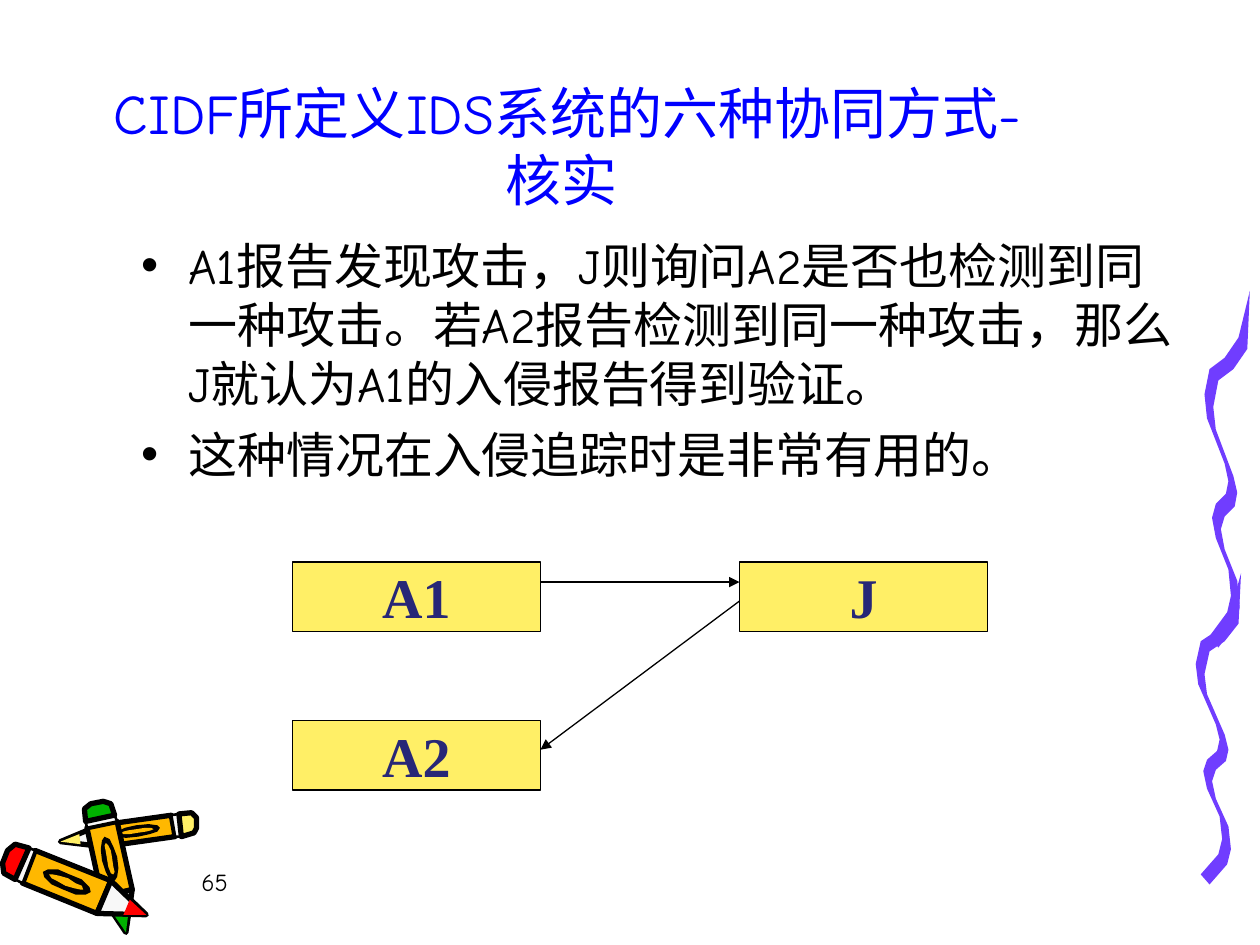
from dataclasses import dataclass
from math import cos, hypot, pi, sin

from lxml.etree import SubElement
from pptx import Presentation
from pptx.dml.color import RGBColor
from pptx.enum.shapes import MSO_CONNECTOR, MSO_SHAPE
from pptx.enum.text import MSO_ANCHOR, MSO_AUTO_SIZE, PP_ALIGN
from pptx.oxml.ns import qn
from pptx.util import Emu, Pt

SCALE = 9144


@dataclass(frozen=True)
class Theme:
    """Fonts, type sizes, line widths and colours of the slide."""

    text_font: str = "Comic Neue"
    node_font: str = "Times New Roman"
    title_size: int = 32
    body_size: int = 28
    node_size: int = 32
    number_size: int = 14
    line_width: float = 0.75
    crayon_line_width: float = 3
    black: str = "000000"
    title: str = "0000FF"
    node_text: str = "272777"
    yellow: str = "FFEF66"
    orange: str = "FFB800"
    red: str = "FF0000"
    green: str = "00B200"
    paper: str = "F8F8F8"
    ribbon: str = "703DFF"


@dataclass(frozen=True)
class Crayon:
    """A crayon from butt to tip, in px relative to its box."""

    butt: tuple
    tip: tuple
    half_width: int
    wax: str

    def locate(self, along, across):
        """Turn a share of the length and of the half width into a point."""
        (x, y), (tip_x, tip_y) = self.butt, self.tip
        run, rise = tip_x - x, tip_y - y
        offset = across * self.half_width / hypot(run, rise)
        return x + along * run - offset * rise, y + along * rise + offset * run


THEME = Theme()

CRAYONS = [
    Crayon((156, 53), (48, 68), 9, THEME.yellow),
    Crayon((77, 37), (100, 140), 12, THEME.green),
    Crayon((4, 80), (116, 126), 14, THEME.red),
]
CAP_END, BAND_END, SHOULDER, LEAD_START = 0.12, 0.17, 0.7, 0.86

RIBBON_EDGE = [
    (36, 0), (27, 32), (16, 46), (4, 54), (0, 72), (2, 88), (16, 120), (19, 132),
    (17, 141), (9, 148), (6, 157), (9, 171), (19, 193), (21, 211), (18, 223), (4, 239),
]
RIBBON_HEIGHT = 248
RIBBON_SHIFT = (7, 8)

TITLE = "CIDF所定义IDS系统的六种协同方式-核实 "
BODY = [
    "A1报告发现攻击，J则询问A2是否也检测到同一种攻击。"
    "若A2报告检测到同一种攻击，那么J就认为A1的入侵报告得到验证。",
    "这种情况在入侵追踪时是非常有用的。",
]


def px(*lengths):
    """Turn px lengths into EMU."""
    return [Emu(length * SCALE) for length in lengths]


def color(value):
    """Return the colour for a hex value."""
    return RGBColor.from_string(value)


def add_run(paragraph, text, font, size, ink, bold=False):
    """Add one formatted run to a paragraph."""
    run = paragraph.add_run()
    run.text = text
    run.font.name = font
    run.font.size = Pt(size)
    run.font.bold = bold
    run.font.color.rgb = color(ink)


def place(shape, box):
    """Move and size a shape to a px box."""
    shape.left, shape.top, shape.width, shape.height = px(*box)


def paint(shape, fill, line_width=0):
    """Fill a shape and give it a black line, or none."""
    shape.shadow.inherit = False
    shape.fill.solid()
    shape.fill.fore_color.rgb = color(fill)
    if line_width:
        shape.line.color.rgb = color(THEME.black)
        shape.line.width = Pt(line_width)
    else:
        shape.line.fill.background()


def add_polygon(shapes, points, fill, line_width=0):
    """Draw a closed outline through px points."""
    points = [(round(x), round(y)) for x, y in points]
    builder = shapes.build_freeform(*points[0], scale=SCALE)
    builder.add_line_segments(points[1:], close=True)
    paint(builder.convert_to_shape(), fill, line_width)


def band(start, end):
    """Outline a full-width stretch of a crayon."""
    return [(start, -1), (end, -1), (end, 1), (start, 1)]


def oval(half_length, half_height, corners=12):
    """Outline the grain mark in the middle of a barrel."""
    middle = (BAND_END + SHOULDER) / 2
    angles = [2 * pi * corner / corners for corner in range(corners)]
    return [(middle + half_length * cos(a), half_height * sin(a)) for a in angles]


def add_crayon(shapes, box, crayon):
    """Draw a crayon part by part, from the barrel to the lead."""
    left, top = box
    lead = (1 - LEAD_START) / (1 - SHOULDER)
    cap = [(CAP_END, -1), (0.03, -0.9), (0, -0.4), (0, 0.4), (0.03, 0.9), (CAP_END, 1)]
    parts = [
        (band(BAND_END, SHOULDER), THEME.orange, THEME.crayon_line_width),
        (band(CAP_END, BAND_END), THEME.paper, THEME.crayon_line_width / 2),
        (cap, crayon.wax, THEME.crayon_line_width),
        ([(SHOULDER, -1), (1, 0), (SHOULDER, 1)], THEME.paper, THEME.crayon_line_width),
        ([(LEAD_START, -lead), (1, 0), (LEAD_START, lead)], crayon.wax, 0),
        (oval(0.17, 0.5), THEME.black, 0),
        (oval(0.12, 0.2), THEME.orange, 0),
    ]
    for outline, fill, line_width in parts:
        points = [crayon.locate(*point) for point in outline]
        add_polygon(shapes, [(left + x, top + y) for x, y in points], fill, line_width)


def add_crayons(slide, box):
    """Draw the pile of crayons, from back to front."""
    group = slide.shapes.add_group_shape()
    for crayon in CRAYONS:
        add_crayon(group.shapes, box, crayon)


def add_ribbon(slide, box):
    """Draw a ribbon as one wavy edge and the same edge shifted."""
    left, top, height = box
    shift_x, shift_y = RIBBON_SHIFT
    shifted_edge = [(x + shift_x, y + shift_y) for x, y in RIBBON_EDGE[1:]]
    outline = RIBBON_EDGE + shifted_edge[::-1]
    stretch = height / RIBBON_HEIGHT
    points = [(left + x, top + y * stretch) for x, y in outline]
    add_polygon(slide.shapes, points, THEME.ribbon)


def fill_title(slide, box):
    """Write the title in its placeholder."""
    title = slide.shapes.title
    place(title, box)
    frame = title.text_frame
    frame.auto_size = MSO_AUTO_SIZE.NONE
    frame.vertical_anchor = MSO_ANCHOR.BOTTOM
    paragraph = frame.paragraphs[0]
    paragraph.alignment = PP_ALIGN.CENTER
    add_run(paragraph, TITLE, THEME.text_font, THEME.title_size, THEME.title)


def fill_body(slide, box):
    """Write the bullet list in the body placeholder."""
    body = slide.placeholders[1]
    place(body, box)
    frame = body.text_frame
    frame.auto_size = MSO_AUTO_SIZE.NONE
    for index, text in enumerate(BODY):
        paragraph = frame.add_paragraph() if index else frame.paragraphs[0]
        paragraph.space_before = Pt(7)
        add_run(paragraph, text, THEME.text_font, THEME.body_size, THEME.black)


def add_slide_number(slide, box):
    """Write the slide number."""
    frame = slide.shapes.add_textbox(*px(*box)).text_frame
    frame.word_wrap = True
    add_run(frame.paragraphs[0], "65", THEME.text_font, THEME.number_size, THEME.black)


def add_node(slide, box, label):
    """Draw one labelled node."""
    node = slide.shapes.add_shape(MSO_SHAPE.RECTANGLE, *px(*box))
    paint(node, THEME.yellow, THEME.line_width)
    frame = node.text_frame
    frame.word_wrap = False
    frame.vertical_anchor = MSO_ANCHOR.MIDDLE
    paragraph = frame.paragraphs[0]
    paragraph.alignment = PP_ALIGN.CENTER
    paragraph.space_before = Pt(8)
    add_run(paragraph, label, THEME.node_font, THEME.node_size, THEME.node_text, bold=True)


def add_arrow(slide, start, end):
    """Draw a line with an arrowhead at its end."""
    arrow = slide.shapes.add_connector(MSO_CONNECTOR.STRAIGHT, *px(*start, *end))
    arrow.line.color.rgb = color(THEME.black)
    arrow.line.width = Pt(THEME.line_width)
    properties = arrow._element.spPr
    SubElement(properties.find(qn("a:ln")), qn("a:tailEnd"), type="triangle")
    SubElement(properties, qn("a:effectLst"))


def add_diagram(slide, box):
    """Draw the three nodes and the two arrows between them."""
    left, top, width, height = box
    node_width, node_height = 197, 55
    right = left + width - node_width
    bottom = top + height - node_height
    for label, x, y in [("A1", left, top), ("A2", left, bottom), ("J", right, top)]:
        add_node(slide, (x, y, node_width, node_height), label)
    near = left + node_width
    add_arrow(slide, (near, top + 16), (right, top + 16))
    add_arrow(slide, (right, top + 31), (near, bottom + 23))


def main():
    """Build and save the slide."""
    presentation = Presentation()
    presentation.slide_width, presentation.slide_height = px(1000, 750)
    slide = presentation.slides.add_slide(presentation.slide_layouts[1])
    add_crayons(slide, (0, 600))
    add_ribbon(slide, (949, 455, 248))
    add_ribbon(slide, (956, 231, 284))
    add_slide_number(slide, (150, 683, 208, 50))
    fill_title(slide, (75, 17, 751, 157))
    fill_body(slide, (102, 182, 850, 331))
    add_diagram(slide, (232, 446, 552, 181))
    presentation.save("out.pptx")


if __name__ == "__main__":
    main()
